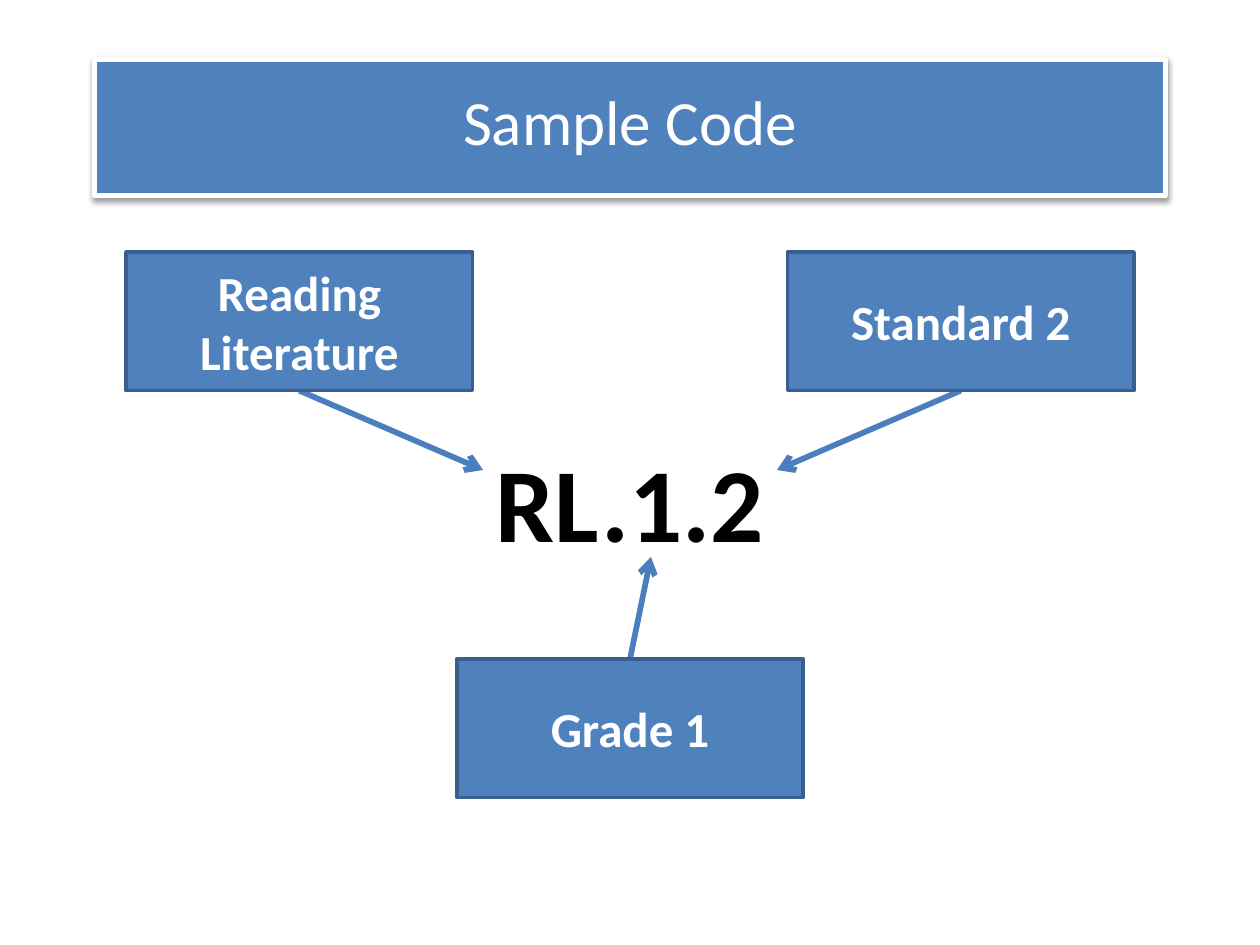
from lxml import etree
from pptx import Presentation
from pptx.dml.color import RGBColor
from pptx.enum.shapes import MSO_CONNECTOR as Connector, MSO_SHAPE as Shape
from pptx.enum.text import MSO_ANCHOR as Anchor, MSO_AUTO_SIZE as AutoSize, PP_ALIGN as Align
from pptx.oxml import parse_xml
from pptx.oxml.ns import nsdecls, qn
from pptx.util import Inches, Pt

BLUE, EDGE, ARROW, WHITE = "4F81BD", "3A5F8C", "4B7EBC", "FFFFFF"


def paint(shape, fill, line, width):
    shape.fill.solid()
    shape.fill.fore_color.rgb = RGBColor.from_string(fill)
    shape.line.color.rgb = RGBColor.from_string(line)
    shape.line.width = Pt(width)


def write(shape, text, size, color=WHITE, bold=False, anchor=Anchor.MIDDLE, spacing=None):
    frame = shape.text_frame
    frame.word_wrap = True
    frame.auto_size = AutoSize.NONE
    frame.vertical_anchor = anchor
    para = frame.paragraphs[0]
    para.alignment = Align.CENTER
    para.line_spacing = spacing
    span = para.add_run()
    span.text = text
    span.font.name = "Calibri"
    span.font.size = Pt(size)
    span.font.bold = bold
    span.font.color.rgb = RGBColor.from_string(color)


deck = Presentation()
deck.slide_width, deck.slide_height = Inches(10), Inches(7.5)
column, row = deck.slide_width / 80, deck.slide_height / 75
page = deck.slides.add_slide(deck.slide_layouts[5])

title = page.shapes.title
title.left, title.top = round(6 * column), round(4.7 * row)
title.width, title.height = round(68 * column), round(10.8 * row)
paint(title, BLUE, WHITE, 3)
write(title, "Sample Code", 36, spacing=Pt(35))
title._element.spPr.append(parse_xml(
    f'<a:effectLst {nsdecls("a")}><a:outerShdw blurRad="39370" dist="20320" dir="5400000" '
    'rotWithShape="0"><a:srgbClr val="000000"><a:alpha val="38000"/></a:srgbClr>'
    '</a:outerShdw></a:effectLst>'))

code = page.shapes.add_textbox(round(4 * column), round(34.2 * row),
                               round(72 * column), round(14.2 * row))
write(code, "RL.1.2", 60, color="000000", bold=True, anchor=Anchor.TOP)

# Label, box column and row, connected side, arrow tip column and row
parts = [
    ("Reading Literature", 8, 20, 2, 30.67, 37.3),
    ("Standard 2", 50, 20, 2, 49.33, 37.3),
    ("Grade 1", 29, 52.3, 0, 41.33, 44.2),
]
for label, left, top, side, tip_column, tip_row in parts:
    box = page.shapes.add_shape(Shape.RECTANGLE, round(left * column), round(top * row),
                                round(22 * column), round(11 * row))
    box.shadow.inherit = False
    paint(box, BLUE, EDGE, 2)
    write(box, label, 28, bold=True)

    arrow = page.shapes.add_connector(Connector.STRAIGHT, 0, 0,
                                      round(tip_column * column), round(tip_row * row))
    arrow.begin_connect(box, side)
    arrow.line.color.rgb = RGBColor.from_string(ARROW)
    arrow.line.width = Pt(3.25)
    etree.SubElement(arrow.line._get_or_add_ln(), qn("a:tailEnd"), type="arrow")
    etree.SubElement(arrow._element.spPr, qn("a:effectLst"))
    page.shapes._spTree.append(box._element)  # the box covers the arrow's start

deck.save("out.pptx")
